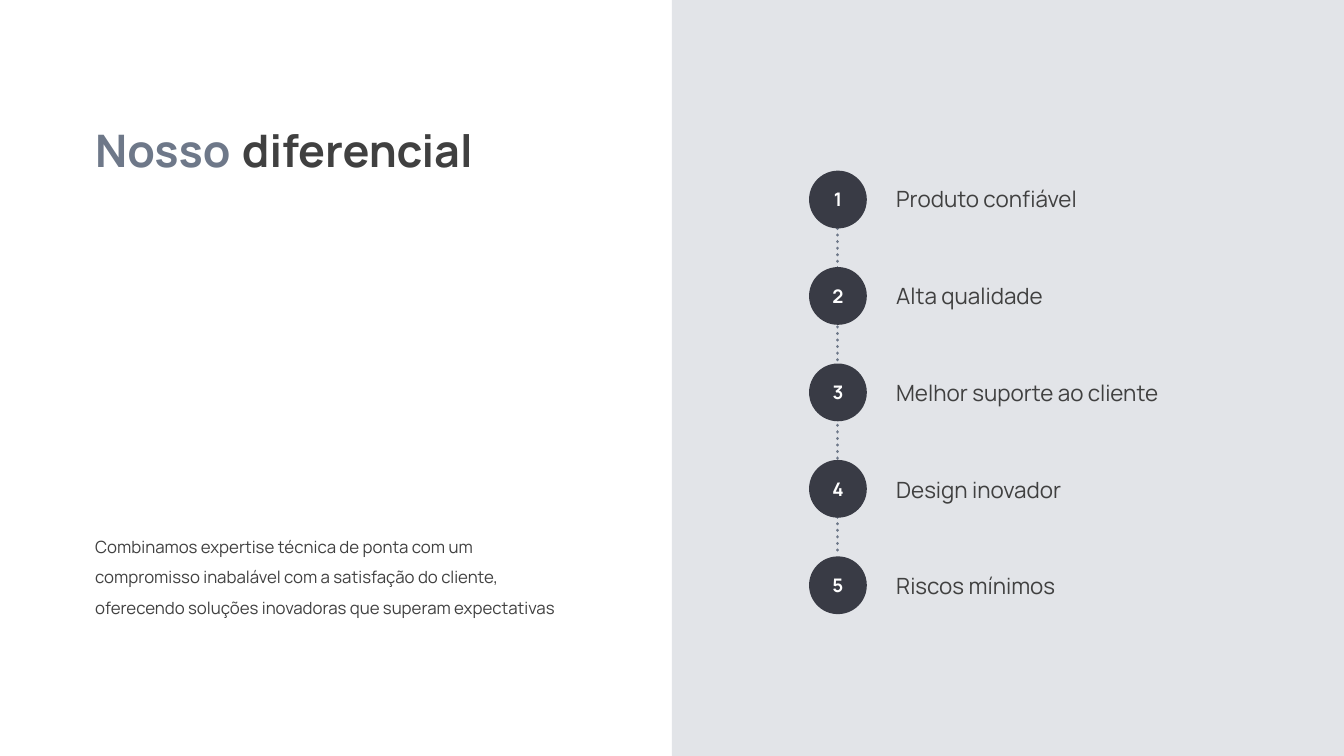
from typing import NamedTuple

import pptx
import pptx.dml.color
import pptx.enum.dml
import pptx.enum.shapes
import pptx.enum.text
import pptx.oxml.ns
import pptx.util
from lxml import etree
from pptx.util import Inches

FONT = "Manrope"
WHITE = "FFFFFF"
PANEL = "E2E4E8"
DARK = "393B45"
ACCENT = "6E7889"
TEXT = "404040"

SLIDE_WIDTH = 10
SLIDE_HEIGHT = SLIDE_WIDTH * 9 / 16

CIRCLE_LEFT, CIRCLE_SIZE = 6.02, 0.43
FIRST_TOP, LAST_TOP = 1.27, 4.14
LABEL_LEFT, LABEL_TOP, LABEL_STEP = 6.57, 1.33, 0.72


class Run(NamedTuple):
    text: str
    size: float
    color: str = TEXT
    bold: bool = False
    spacing: float = 0


BENEFITS = [
    "Produto confiável",
    "Alta qualidade",
    "Melhor suporte ao cliente",
    "Design inovador",
    "Riscos mínimos",
]
CIRCLE_STEP = (LAST_TOP - FIRST_TOP) / (len(BENEFITS) - 1)


def rgb(color: str) -> pptx.dml.color.RGBColor:
    return pptx.dml.color.RGBColor.from_string(color)


def write(frame, *runs: Run, align=None, line_spacing: float | None = None) -> None:
    """Fill the first paragraph of a text frame with formatted runs."""
    frame.word_wrap = True
    paragraph = frame.paragraphs[0]
    paragraph.alignment = align
    paragraph.line_spacing = line_spacing
    for item in runs:
        run = paragraph.add_run()
        run.text = item.text
        run.font.name = FONT
        run.font.size = pptx.util.Pt(item.size)
        run.font.bold = item.bold
        run.font.color.rgb = rgb(item.color)
        if item.spacing:
            run.font._element.set("spc", str(round(item.spacing * 100)))


def add_text(slide, left: float, top: float, width: float, height: float,
             *runs: Run, line_spacing: float | None = None) -> None:
    box = slide.shapes.add_textbox(
        Inches(left), Inches(top), Inches(width), Inches(height))
    write(box.text_frame, *runs, line_spacing=line_spacing)
    box.text_frame.auto_size = pptx.enum.text.MSO_AUTO_SIZE.SHAPE_TO_FIT_TEXT


def add_filled_shape(slide, kind, left: float, top: float,
                     width: float, height: float, color: str):
    shape = slide.shapes.add_shape(
        kind, Inches(left), Inches(top), Inches(width), Inches(height))
    shape.shadow.inherit = False
    shape.fill.solid()
    shape.fill.fore_color.rgb = rgb(color)
    shape.line.fill.background()
    return shape


def add_dotted_line(slide, x: float, top: float, bottom: float) -> None:
    connector = slide.shapes.add_connector(
        pptx.enum.shapes.MSO_CONNECTOR.STRAIGHT,
        Inches(x), Inches(top), Inches(x), Inches(bottom))
    connector.line.color.rgb = rgb(ACCENT)
    connector.line.width = pptx.util.Pt(1.75)
    connector.line.dash_style = pptx.enum.dml.MSO_LINE.ROUND_DOT
    properties = connector._element.spPr
    properties.find(pptx.oxml.ns.qn("a:ln")).set("cap", "rnd")
    etree.SubElement(properties, pptx.oxml.ns.qn("a:effectLst"))


def add_benefit(slide, index: int, label: str) -> None:
    circle = add_filled_shape(
        slide, pptx.enum.shapes.MSO_SHAPE.OVAL, CIRCLE_LEFT,
        FIRST_TOP + index * CIRCLE_STEP, CIRCLE_SIZE, CIRCLE_SIZE, DARK)
    circle.text_frame.vertical_anchor = pptx.enum.text.MSO_ANCHOR.MIDDLE
    write(circle.text_frame, Run(str(index + 1), 10, WHITE, True, 0.8),
          align=pptx.enum.text.PP_ALIGN.CENTER)
    add_text(slide, LABEL_LEFT, LABEL_TOP + index * LABEL_STEP, 2.97, 0.3,
             Run(label, 12))


def main() -> None:
    presentation = pptx.Presentation()
    presentation.slide_width = Inches(SLIDE_WIDTH)
    presentation.slide_height = Inches(SLIDE_HEIGHT)
    slide = presentation.slides.add_slide(presentation.slide_layouts[6])
    slide.background.fill.solid()
    slide.background.fill.fore_color.rgb = rgb(WHITE)

    add_filled_shape(slide, pptx.enum.shapes.MSO_SHAPE.RECTANGLE,
                     SLIDE_WIDTH / 2, 0, SLIDE_WIDTH / 2, SLIDE_HEIGHT, PANEL)
    add_text(slide, 0.61, 0.78, 3.95, 0.61,
             Run("Nosso", 24, ACCENT, True), Run(" ", 30, "31302E"),
             Run("diferencial", 24, TEXT, True))
    add_text(slide, 0.61, 3.87, 3.75, 0.99,
             Run("Combinamos expertise técnica de ponta com um compromisso "
                 "inabalável com a satisfação do cliente, oferecendo soluções "
                 "inovadoras que superam expectativas", 9),
             line_spacing=1.5)

    add_dotted_line(slide, 6.23, FIRST_TOP + CIRCLE_SIZE, LAST_TOP)
    for index, label in enumerate(BENEFITS):
        add_benefit(slide, index, label)

    presentation.save("out.pptx")


if __name__ == "__main__":
    main()
